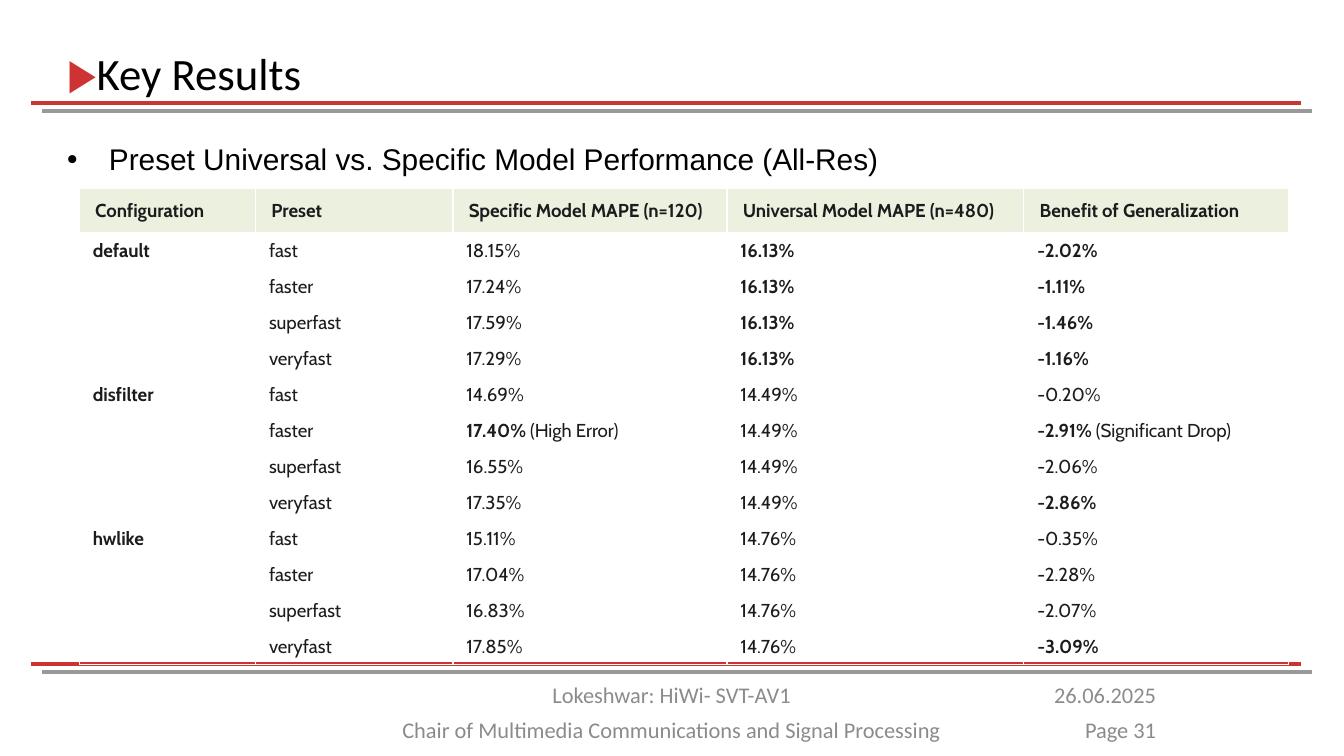
from lxml import etree
from pptx import Presentation
from pptx.dml.color import RGBColor
from pptx.enum.shapes import MSO_CONNECTOR
from pptx.enum.text import MSO_ANCHOR, PP_ALIGN
from pptx.oxml.ns import qn
from pptx.util import Cm, Pt

LINE = MSO_CONNECTOR.STRAIGHT
MIDDLE, TOP = MSO_ANCHOR.MIDDLE, MSO_ANCHOR.TOP
LEFT, CENTER, RIGHT = PP_ALIGN.LEFT, PP_ALIGN.CENTER, PP_ALIGN.RIGHT

COLORS = {
    "red": "CC3333",
    "mark": "CD3333",
    "gray": "999999",
    "foot": "8B8B8B",
    "black": "000000",
    "ink": "1B1C1D",
    "head": "EBF1DE",
    "white": "FFFFFF",
}

WIDTHS = [3.33, 3.73, 5.18, 5.61, 5]
HEADS = ["Configuration", "Preset", "Specific Model MAPE (n=120)",
         "Universal Model MAPE (n=480)", "Benefit of Generalization"]
PRESETS = ["fast", "faster", "superfast", "veryfast"]
# Per configuration: universal error, then specific error and benefit by
# preset; ** switches bold on and off
RESULTS = {
    "default": ("**16.13%", [("18.15%", "**-2.02%"), ("17.24%", "**-1.11%"),
                             ("17.59%", "**-1.46%"), ("17.29%", "**-1.16%")]),
    "disfilter": ("14.49%", [("14.69%", "-0.20%"),
                             ("**17.40%** (High Error)",
                              "**-2.91%** (Significant Drop)"),
                             ("16.55%", "-2.06%"), ("17.35%", "**-2.86%")]),
    "hwlike": ("14.76%", [("15.11%", "-0.35%"), ("17.04%", "-2.28%"),
                          ("16.83%", "-2.07%"), ("17.85%", "**-3.09%")]),
}


def rgb(name):
    return RGBColor.from_string(COLORS[name])


def put(para, text, size=12, font="Calibri", color="black", align=LEFT):
    """Add text to a paragraph; ** switches bold on and off."""
    para.alignment = align
    for i, part in enumerate(text.split("**")):
        if part:
            run = para.add_run()
            run.text = part
            run.font.size = Pt(size)
            run.font.name = font
            run.font.bold = i % 2 == 1
            run.font.color.rgb = rgb(color)
    if not text:
        # An empty paragraph takes its height from its end mark
        end = etree.SubElement(para._p, qn("a:endParaRPr"), sz=str(size * 100))
        etree.SubElement(end, qn("a:latin"), typeface=font)


def add_box(slide, x, y, w, h, pad=(0, 0), anchor=MIDDLE):
    frame = slide.shapes.add_textbox(Cm(x), Cm(y), Cm(w), Cm(h)).text_frame
    frame.word_wrap = True
    frame.vertical_anchor = anchor
    frame.margin_left = frame.margin_right = Cm(pad[0])
    frame.margin_top = frame.margin_bottom = Cm(pad[1])
    return frame.paragraphs[0]


def add_rule(slide, x, y, w):
    """Red line with a gray one below and to the right."""
    for color, dx, dy in (("red", 0, 0), ("gray", 0.22, 0.16)):
        line = slide.shapes.add_connector(
            LINE, Cm(x + dx), Cm(y + dy), Cm(x + dx + w), Cm(y + dy))
        line.line.color.rgb = rgb(color)
        line.line.width = Pt(2.25)
        etree.SubElement(line._element.spPr, qn("a:effectLst"))


def add_foot(slide, x, y, w):
    """Two rows of centred and right-aligned notes."""
    rows = [("Lokeshwar: HiWi- SVT-AV1", "26.06.2025"),
            ("Chair of Multimedia Communications and Signal Processing",
             "Page 31")]
    for i, (mid, end) in enumerate(rows):
        top = y + i * 0.66
        for text, left, wide, align in ((mid, x, 12.19, CENTER),
                                        (end, x + w - 3, 3, RIGHT)):
            para = add_box(slide, left, top, wide, 0.76, (0.25, 0.13), TOP)
            put(para, text, color="foot", align=align)


def add_title(slide, x, y, w, h):
    para = add_box(slide, x, y, w, h)
    para.line_spacing = 0.9
    put(para, "▶", size=24, font="Roboto", color="mark")
    put(para, "Key Results", size=24)


def add_lead(slide, x, y, w, h):
    para = add_box(slide, x, y, w, h)
    props = para._p.get_or_add_pPr()
    props.set("marL", str(Cm(0.79)))
    props.set("indent", str(-Cm(0.79)))
    para.line_spacing = 0.9
    etree.SubElement(props, qn("a:buFont"), typeface="Arial")
    etree.SubElement(props, qn("a:buChar"), char="•")
    put(para, "Preset Universal vs. Specific Model Performance (All-Res)",
        size=16, font="Arial")


def add_edges(cell):
    """White border on all four sides, placed before the fill."""
    props = cell._tc.get_or_add_tcPr()
    for i, side in enumerate(("lnL", "lnR", "lnT", "lnB")):
        edge = etree.Element(qn("a:" + side), w=str(Pt(0.75)))
        fill = etree.SubElement(edge, qn("a:solidFill"))
        etree.SubElement(fill, qn("a:srgbClr"), val=COLORS["white"])
        props.insert(i, edge)


def add_results(slide, x, y, w, h):
    rows = [["**" + head for head in HEADS]]
    for name, (common, pairs) in RESULTS.items():
        for i, (preset, (own, gain)) in enumerate(zip(PRESETS, pairs)):
            label = "" if i else "**" + name
            rows.append([label, preset, own, common, gain])

    table = slide.shapes.add_table(
        len(rows), len(HEADS), Cm(x), Cm(y), Cm(w), Cm(h)).table
    table.first_row = table.horz_banding = False
    for col, wide in zip(table.columns, WIDTHS):
        col.width = Cm(wide)

    top = 0.83
    for r, row in enumerate(rows):
        table.rows[r].height = Cm((h - top) / (len(rows) - 1) if r else top)
        for c, text in enumerate(row):
            cell = table.cell(r, c)
            cell.vertical_anchor = MIDDLE
            if r:
                cell.fill.background()
            else:
                cell.fill.solid()
                cell.fill.fore_color.rgb = rgb("head")
                cell.margin_left = cell.margin_right = Cm(0.3)
                cell.margin_top = cell.margin_bottom = Cm(0.2)
            add_edges(cell)
            put(cell.text_frame.paragraphs[0], text,
                size=10, font="Cabin", color="ink")


def main():
    deck = Presentation()
    deck.slide_width, deck.slide_height = Cm(25.4), Cm(14.28)
    slide = deck.slides.add_slide(deck.slide_layouts[6])
    for y in (1.94, 12.54):
        add_rule(slide, 0.58, y, 24)
    add_foot(slide, 6.6, 12.73, 15.5)
    add_lead(slide, 1.27, 2.54, 22.86, 1)
    add_title(slide, 1.27, 0.74, 22.86, 1.4)
    add_results(slide, 1.5, 3.56, 22.85, 9)
    deck.save("out.pptx")


if __name__ == "__main__":
    main()
